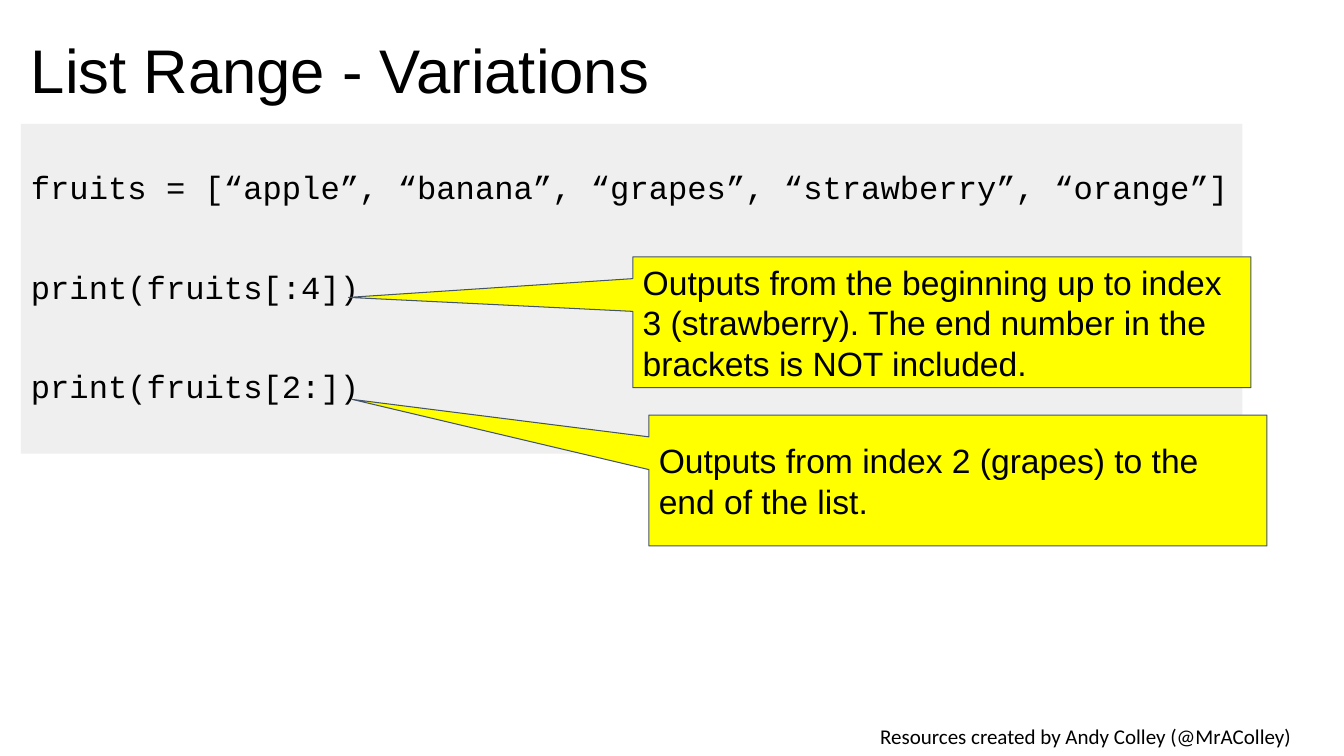
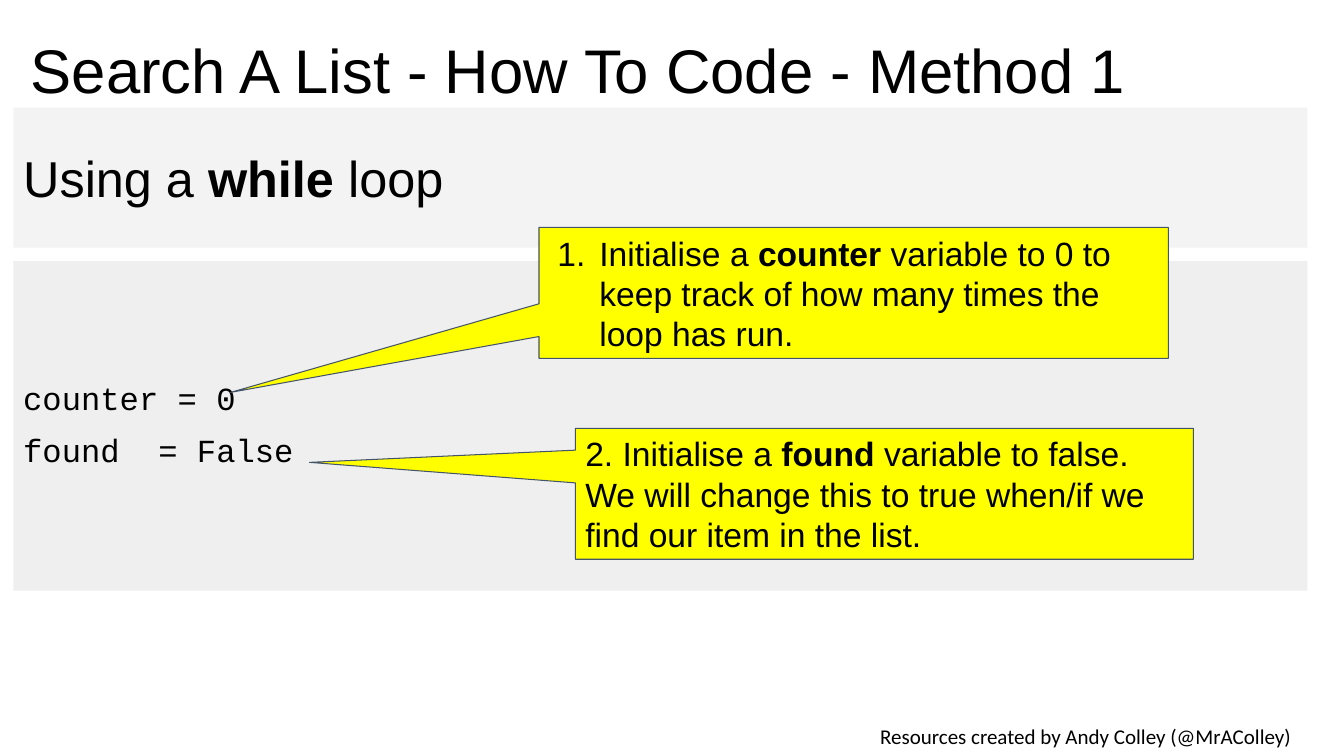
from lxml import etree
from pptx import Presentation
from pptx.dml.color import RGBColor
from pptx.enum.shapes import MSO_SHAPE
from pptx.enum.text import MSO_ANCHOR, PP_ALIGN
from pptx.oxml.ns import qn
from pptx.util import Pt

RECT = MSO_SHAPE.RECTANGLE
CALLOUT = MSO_SHAPE.ROUNDED_RECTANGULAR_CALLOUT
MIDDLE = MSO_ANCHOR.MIDDLE
LEFT, CENTER = PP_ALIGN.LEFT, PP_ALIGN.CENTER

COLORS = {
    "text": "000000",
    "heading": "F3F3F3",
    "code": "EFEFEF",
    "callout": "FFFF00",
    "outline": "44546A",
}
SANS, MONO, FOOTER_FONT = "Arial", "Courier New", "Calibri"
FOOTER = "Resources created by Andy Colley (@MrAColley)"
CODE_HEIGHT = 235.5
CALLOUT_WIDTH, CALLOUT_HEIGHT = 441.5, 93.5


def color(name):
    return RGBColor.from_string(COLORS[name])


def write(sp, *lines, size=24, font=SANS, align=LEFT, inset=3.6,
          spacing=None, before=0, gap=0):
    """Write one paragraph per line; text between ** marks is bold."""
    tf = sp.text_frame
    tf.word_wrap = True
    tf.vertical_anchor = MIDDLE
    tf.margin_left = tf.margin_right = Pt(7.2)
    tf.margin_top = tf.margin_bottom = Pt(inset)
    for i, line in enumerate(lines):
        p = tf.add_paragraph() if i else tf.paragraphs[0]
        p.alignment = align
        p.space_before = Pt(gap if i else before)
        if spacing:
            p.line_spacing = spacing
        for j, part in enumerate(line.split("**")):
            r = p.add_run()
            r.text = part
            r.font.name = font
            r.font.size = Pt(size)
            r.font.bold = j % 2 == 1
            r.font.color.rgb = color("text")


def add_text(s, box, text, **style):
    write(s.shapes.add_textbox(*map(Pt, box)), text, **style)


def add_panel(s, box, fill, kind=RECT):
    sp = s.shapes.add_shape(kind, *map(Pt, box))
    sp.shadow.inherit = False
    sp.fill.solid()
    sp.fill.fore_color.rgb = color(fill)
    sp.line.fill.background()
    return sp


def add_code(s, left, top, width, lines, gap):
    sp = add_panel(s, (left, top, width, CODE_HEIGHT), "code")
    write(sp, *lines, size=23, font=MONO, spacing=0.9, before=10, gap=gap)


def add_callout(s, left, top, tip, text, width=CALLOUT_WIDTH):
    """Add a square-cornered callout; tip is its offset from the centre."""
    sp = add_panel(s, (left, top, width, CALLOUT_HEIGHT), "callout", CALLOUT)
    for i, value in enumerate((*tip, 0)):
        sp.adjustments[i] = value
    sp.line.color.rgb = color("outline")
    sp.line.width = Pt(0.75)
    write(sp, text, inset=7.2)
    return sp


def number_paragraph(p):
    pPr = p._p.get_or_add_pPr()
    pPr.set("marL", str(Pt(36)))
    pPr.set("indent", str(Pt(-30)))
    etree.SubElement(pPr, qn("a:buAutoNum"), type="arabicPeriod")


def add_slide(prs, title):
    s = prs.slides.add_slide(prs.slide_layouts[6])
    add_text(s, (591, 511, 369, 29), FOOTER, size=15, font=FOOTER_FONT,
             align=CENTER, inset=7.2)
    add_text(s, (15, 0, 828, 104.5), title, size=44, spacing=0.9)
    return s


def add_range_slide(prs):
    s = add_slide(prs, "List Range - Variations")
    add_code(s, 15, 88.5, 872.5, (
        "fruits = [“apple”, “banana”, “grapes”, “strawberry”, “orange”]",
        "print(fruits[:4])",
        "print(fruits[2:])",
    ), gap=46.5)
    add_callout(s, 452, 183.5, (-0.96, -0.19),
                "Outputs from the beginning up to index 3 (strawberry). "
                "The end number in the brackets is NOT included.")
    add_callout(s, 463.5, 296.5, (-0.98, -0.62),
                "Outputs from index 2 (grapes) to the end of the list.")


def add_search_slide(prs):
    s = add_slide(prs, "Search A List - How To Code - Method 1")
    left, width = 9.5, 924.5
    heading = add_panel(s, (left, 77, width, 100), "heading")
    write(heading, "Using a **while **loop", size=36)
    add_code(s, left, 186.5, width, ("counter = 0", "found  = False"), gap=12)
    sp = add_callout(s, 385, 162.5, (-0.99, 0.76),
                     "Initialise a **counter **variable to 0 to keep track "
                     "of how many times the loop has run.", width=449.5)
    number_paragraph(sp.text_frame.paragraphs[0])
    add_callout(s, 411, 306, (-0.93, -0.24),
                "2. Initialise a **found **variable to false.  We will change "
                "this to true when/if we find our item in the list.")


def main():
    prs = Presentation()
    prs.slide_width, prs.slide_height = Pt(960), Pt(540)
    add_range_slide(prs)
    add_search_slide(prs)
    prs.save("out.pptx")


if __name__ == "__main__":
    main()
